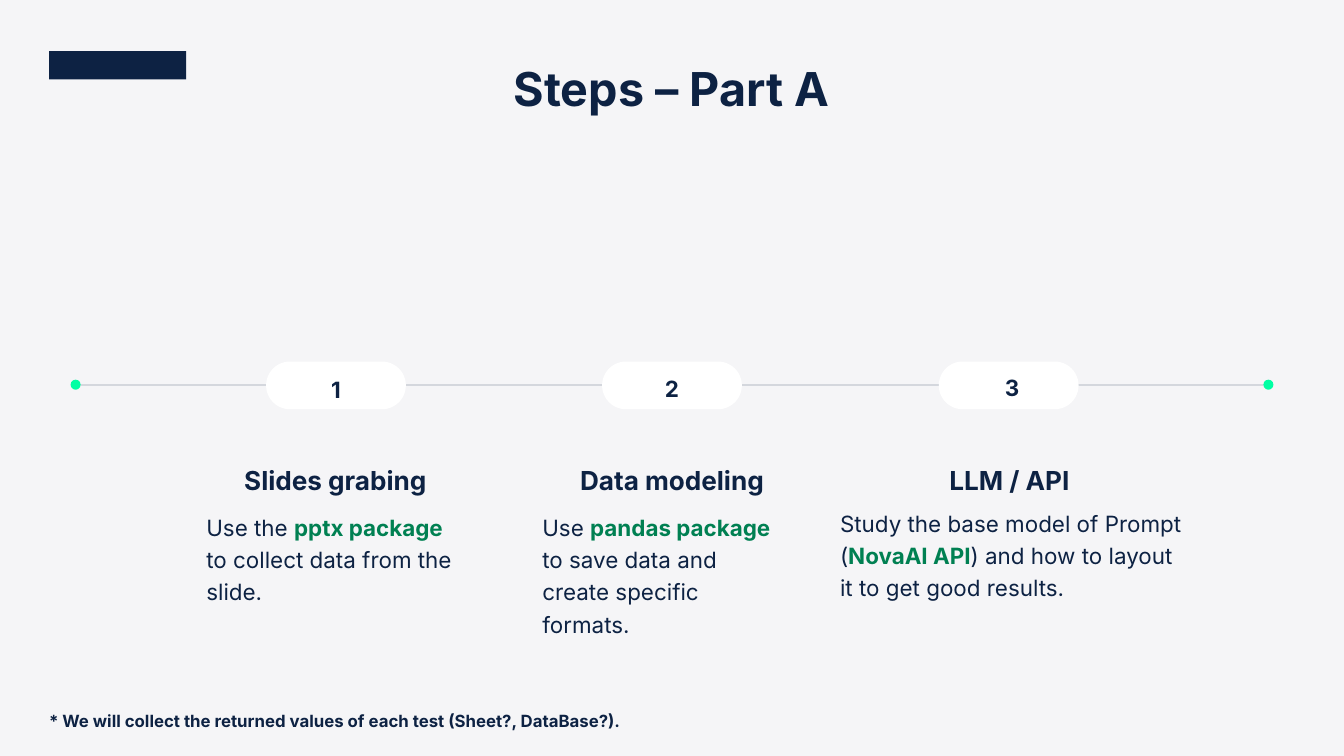
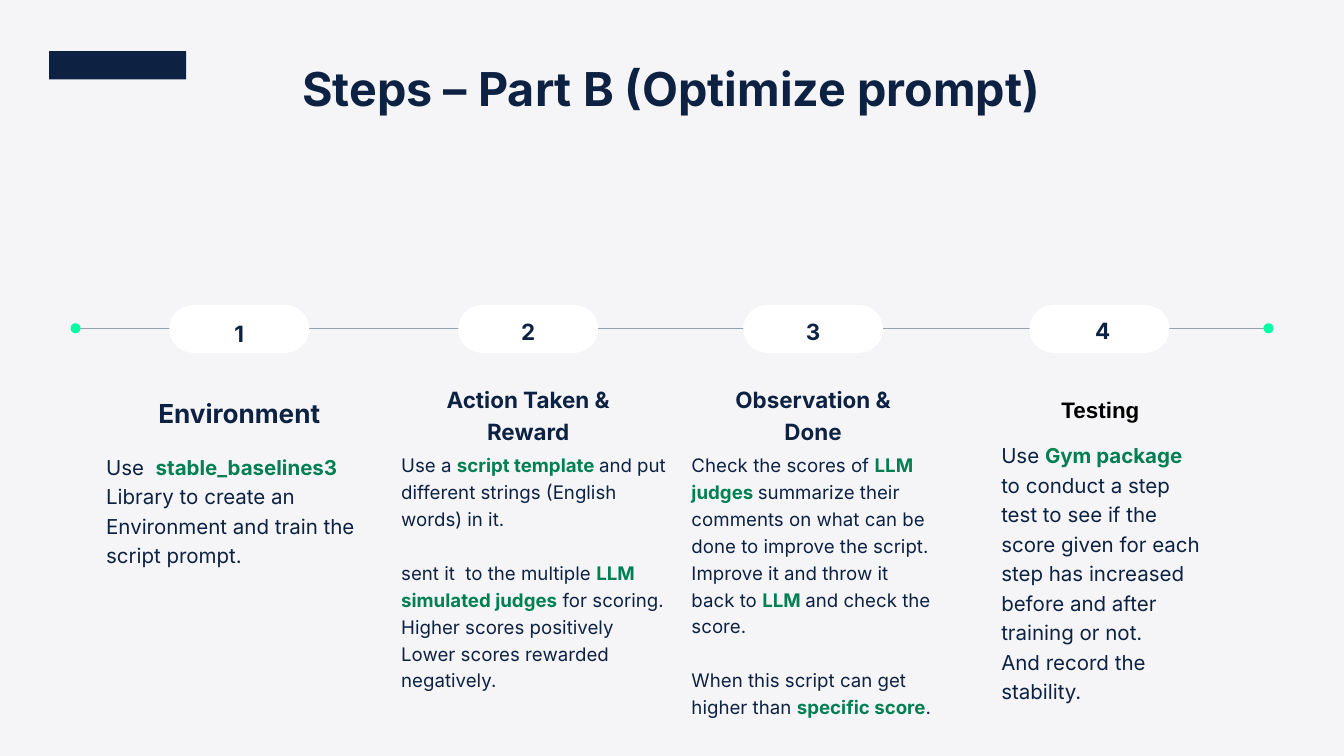
from dataclasses import dataclass

from lxml import etree
from pptx import Presentation
from pptx import util as u
from pptx.dml.color import RGBColor
from pptx.enum import shapes, text
from pptx.oxml.ns import qn

PX = 9144
NAVY, GREEN, MINT = "0D2243", "008052", "00FFA3"
WHITE, BLACK, PALE = "FFFFFF", "000000", "F5F5F7"
FONT = "Inter"
LINE_SPACING = 1.2
PILL_W, PILL_H, DOT = 208, 71, 15
RAIL_LEFT, RAIL_RIGHT = 120, 1880


@dataclass
class Step:
    pill_left: int
    number_offset: tuple
    heading: str
    heading_box: tuple
    body: str
    body_box: tuple
    heading_size: int = 28
    body_size: int = 24
    heading_font: str = FONT
    heading_color: str = NAVY


PART_A = [
    Step(396, (48, 14), "Slides grabing", (349, 682, 300, 57),
         "Use the |pptx package |to collect data from the slide.",
         (307, 757, 385, 194)),
    Step(896, (48, 12), "Data modeling", (850, 682, 300, 57),
         "Use |pandas package |to save data and create specific formats.",
         (807, 757, 368, 194)),
    Step(1397, (53, 10), "LLM / API", (1352, 682, 300, 57),
         "Study the base model of Prompt (|NovaAI API|) and how to layout "
         "it to get good results.",
         (1250, 751, 519, 194)),
]

PART_B = [
    Step(252, (48, 14), "Environment", (232, 582, 248, 113),
         "Use  |stable_baselines3 |Library to create an Environment "
         "and train the script prompt.",
         (158, 669, 394, 178), body_size=22),
    Step(682, (48, 12), "Action Taken &\nReward", (586, 566, 400, 145),
         "Use a |script template |and put different strings "
         "(English words) in it.\n\n"
         "sent it  to the multiple |LLM simulated judges| for scoring. "
         "Higher scores positively\n"
         "Lower scores rewarded negatively.",
         (597, 669, 394, 364), heading_size=24, body_size=20),
    Step(1106, (48, 12), "Observation &\nDone", (1060, 566, 300, 145),
         "Check the scores of |LLM judges |summarize their comments on "
         "what can be done to improve the script.\n"
         "Improve it and throw it back to |LLM |and check the score.\n\n"
         "When this script can get higher than |specific score|.",
         (1029, 669, 359, 404), heading_size=24, body_size=20),
    Step(1532, (53, 10), "Testing", (1535, 582, 205, 48),
         "Use |Gym package |to conduct a step test to see if the score "
         "given for each step has increased before and after training "
         "or not.\nAnd record the stability.",
         (1490, 652, 296, 400), heading_size=24, body_size=22,
         heading_font="Arial", heading_color=BLACK),
]


def px(*values):
    return [u.Emu(v * PX) for v in values]


def rgb(value):
    return RGBColor.from_string(value)


def fill_text(sp, content, size, bold=False, color=NAVY, font=FONT, centered=False):
    tf = sp.text_frame
    tf.word_wrap = True
    tf.auto_size = text.MSO_AUTO_SIZE.SHAPE_TO_FIT_TEXT
    tf.vertical_anchor = text.MSO_ANCHOR.TOP
    tf.margin_left = tf.margin_top = tf.margin_right = tf.margin_bottom = 0
    p = None
    for block in content.split("\n\n"):
        for i, line in enumerate(block.split("\n")):
            starts_block = p is not None and i == 0
            p = tf.paragraphs[0] if p is None else tf.add_paragraph()
            p.line_spacing = LINE_SPACING
            p.alignment = text.PP_ALIGN.CENTER if centered else text.PP_ALIGN.LEFT
            if starts_block:
                p.space_before = u.Pt(round(size * 1.45))
            for j, part in enumerate(line.split("|")):
                marked = j % 2 == 1
                r = p.add_run()
                r.text = part
                r.font.name = font
                r.font.size = u.Pt(size)
                r.font.bold = bold or marked
                r.font.color.rgb = rgb(GREEN if marked else color)


def add_text(parent, box, content, size, **style):
    fill_text(parent.add_textbox(*px(*box)), content, size, **style)


def add_plain_shape(parent, kind, box, color):
    s = parent.add_shape(kind, *px(*box))
    s.shadow.inherit = False
    s.fill.solid()
    s.fill.fore_color.rgb = rgb(color)
    s.line.fill.background()
    return s


def add_rail(slide, y):
    for left in (RAIL_LEFT - DOT, RAIL_RIGHT):
        add_plain_shape(slide.shapes, shapes.MSO_SHAPE.OVAL,
                        (left, y - 8, DOT, DOT), MINT)
    rail = slide.shapes.add_connector(
        shapes.MSO_CONNECTOR.STRAIGHT, *px(RAIL_LEFT, y, RAIL_RIGHT, y))
    rail.line.width = u.Pt(0.75)
    rail.line.color.rgb = rgb(NAVY)
    props = rail._element.spPr
    alpha = etree.SubElement(next(props.iter(qn("a:srgbClr"))), qn("a:alpha"))
    alpha.set("val", "40000")
    etree.SubElement(props, qn("a:effectLst"))


def add_step(slide, number, step, rail_y):
    top = rail_y - 35
    group = slide.shapes.add_group_shape().shapes
    pill = add_plain_shape(group, shapes.MSO_SHAPE.ROUNDED_RECTANGLE,
                           (step.pill_left, top, PILL_W, PILL_H), WHITE)
    pill.adjustments[0] = 0.5
    dx, dy = step.number_offset
    add_text(group, (step.pill_left + dx, top + dy, 112, 48), str(number), 24,
             bold=True, centered=True)
    add_text(slide.shapes, step.heading_box, step.heading, step.heading_size,
             bold=True, color=step.heading_color, font=step.heading_font,
             centered=True)
    add_text(slide.shapes, step.body_box, step.body, step.body_size)


def add_steps_slide(prs, title, rail_y, steps):
    slide = prs.slides.add_slide(prs.slide_layouts[5])
    sp = slide.shapes.title
    sp.left, sp.top, sp.width, sp.height = px(112, 72, 1775, 101)
    fill_text(sp, title, 50, bold=True, centered=True)
    add_plain_shape(slide.shapes, shapes.MSO_SHAPE.RECTANGLE,
                    (73, 76, 204, 42), NAVY)
    add_rail(slide, rail_y)
    for number, step in enumerate(steps, 1):
        add_step(slide, number, step, rail_y)
    return slide


def main():
    prs = Presentation()
    prs.slide_width, prs.slide_height = px(2000, 1125)
    background = prs.slide_master.background.fill
    background.solid()
    background.fore_color.rgb = rgb(PALE)

    slide = add_steps_slide(prs, "Steps – Part A", 573, PART_A)
    add_text(slide.shapes, (73, 1051, 1030, 36),
             "* We will collect the returned values of each test "
             "(Sheet?, DataBase?).", 18, bold=True)
    add_steps_slide(prs, "Steps – Part B (Optimize prompt)", 489, PART_B)
    prs.save("out.pptx")


if __name__ == "__main__":
    main()
